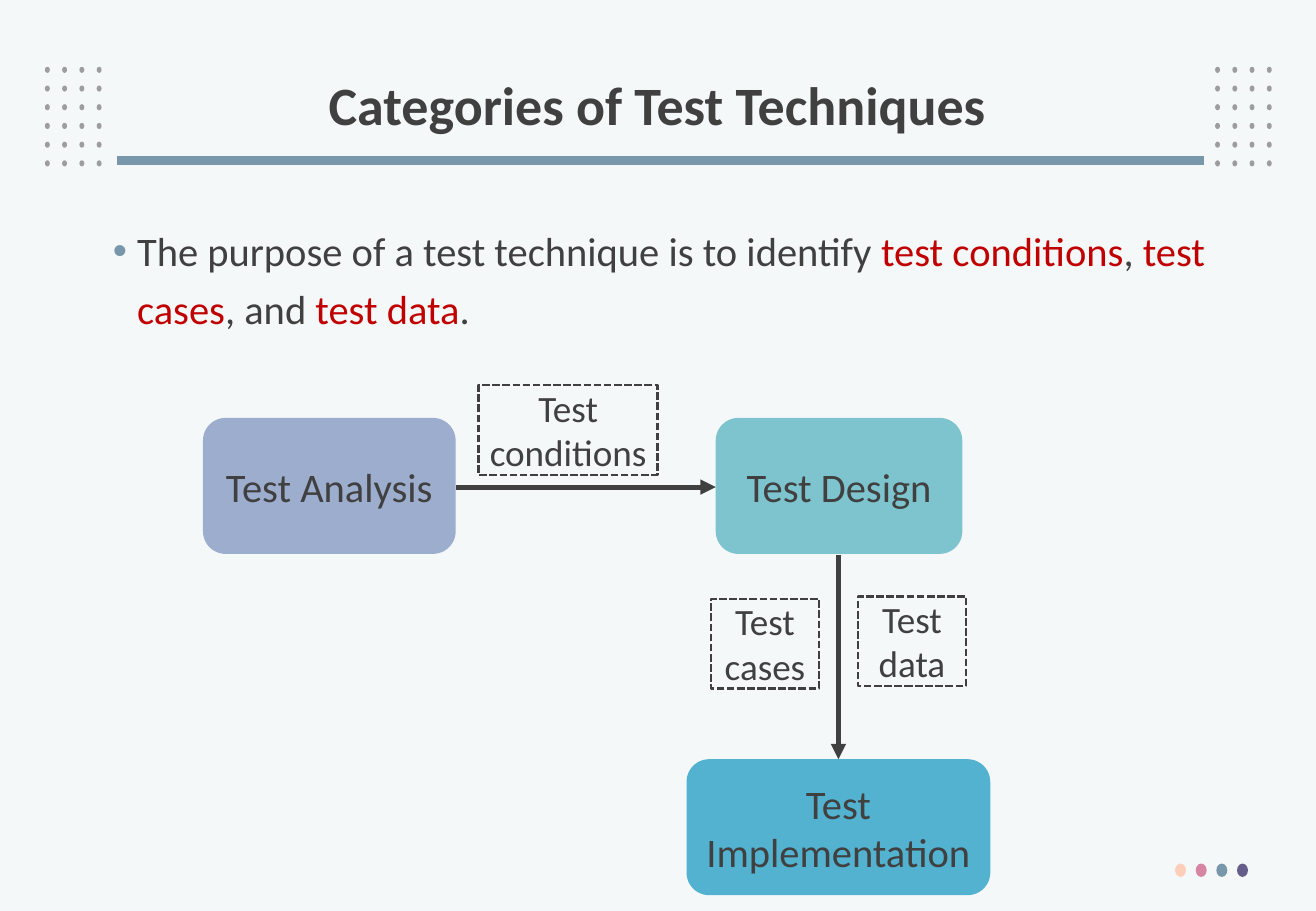
"""Build the slide on categories of test techniques."""
from lxml import etree
from pptx import Presentation
from pptx import util as u
from pptx.dml.color import RGBColor
from pptx.enum import dml, shapes, text
from pptx.oxml import ns

COLORS = {
    "page": "F5F8F9", "ink": "404040", "accent": "C00000", "dot": "9D9D9D",
    "peach": "FDCEB9", "pink": "D885A3", "steel": "7897AB", "violet": "655D8A",
    "analysis": "9CADCE", "design": "7EC4CF", "implementation": "52B2CF",
}


def rgb(name):
    return RGBColor.from_string(COLORS[name])


def add_element(parent, tag, **attributes):
    return etree.SubElement(parent, ns.qn(tag), attributes)


def write_text(frame, *spans, size=24, bold=False, align=text.PP_ALIGN.CENTER,
               anchor=text.MSO_ANCHOR.MIDDLE, spacing=None, bullet=None):
    frame.word_wrap = True
    frame.vertical_anchor = anchor
    para = frame.paragraphs[0]
    para.alignment = align
    if bullet:
        properties = para._p.get_or_add_pPr()
        properties.set("marL", str(u.Inches(0.2)))
        properties.set("indent", str(u.Inches(-0.2)))
        add_element(add_element(properties, "a:buClr"), "a:srgbClr", val=COLORS["steel"])
        add_element(properties, "a:buFont", typeface="Arial")
        add_element(properties, "a:buChar", char=bullet)
    if spacing:
        para.line_spacing = spacing
    for words, color in spans:
        span = para.add_run()
        span.text = words
        span.font.name = "Calibri"
        span.font.size = u.Pt(size)
        span.font.bold = bold
        span.font.color.rgb = rgb(color)


class Painter:
    def __init__(self, page):
        self.page = page
        page.background.fill.solid()
        page.background.fill.fore_color.rgb = rgb("page")

    def shape(self, kind, left, top, width, height, fill=None):
        box = self.page.shapes.add_shape(kind, *map(u.Inches, (left, top, width, height)))
        box.shadow.inherit = False
        box.line.fill.background()
        if fill:
            box.fill.solid()
            box.fill.fore_color.rgb = rgb(fill)
        else:
            box.fill.background()
        return box

    def dot(self, left, top, width, height, fill):
        self.shape(shapes.MSO_SHAPE.OVAL, left, top, width, height, fill)

    def dot_grid(self, left, top):
        for row in range(6):
            for column in range(4):
                self.dot(left + column * 0.142, top + row * 0.154, 0.04, 0.05, "dot")

    def text_box(self, left, top, width, height, *spans, **style):
        box = self.page.shapes.add_textbox(*map(u.Inches, (left, top, width, height)))
        write_text(box.text_frame, *spans, **style)

    def stage(self, words, left, top, width, fill):
        box = self.shape(shapes.MSO_SHAPE.ROUNDED_RECTANGLE, left, top, width, 1.12, fill)
        write_text(box.text_frame, (words, "ink"))

    def label(self, words, left, top, width):
        box = self.shape(shapes.MSO_SHAPE.RECTANGLE, left, top, width, 0.74)
        box.line.color.rgb = rgb("ink")
        box.line.width = u.Pt(1.5)
        box.line.dash_style = dml.MSO_LINE.SQUARE_DOT
        frame = box.text_frame
        frame.margin_left = frame.margin_right = u.Inches(0.04)
        frame.margin_top = frame.margin_bottom = 0
        frame.auto_size = text.MSO_AUTO_SIZE.SHAPE_TO_FIT_TEXT
        write_text(frame, (words, "ink"), size=22, anchor=text.MSO_ANCHOR.TOP)

    def line(self, start, end, color="ink", weight=3, arrow=False):
        line = self.page.shapes.add_connector(
            shapes.MSO_CONNECTOR.STRAIGHT, *map(u.Inches, start + end))
        line.line.color.rgb = rgb(color)
        line.line.width = u.Pt(weight)
        if arrow:
            add_element(line.line._get_or_add_ln(), "a:tailEnd", type="triangle")
        add_element(line._element.spPr, "a:effectLst")


def main():
    deck = Presentation()
    deck.slide_width, deck.slide_height = u.Inches(10.83), u.Inches(7.5)
    painter = Painter(deck.slides.add_slide(deck.slide_layouts[6]))

    for left in (0.37, 10):
        painter.dot_grid(left, 0.55)
    painter.line((0.96, 1.32), (9.91, 1.32), color="steel", weight=5.25)
    for index, color in enumerate(("peach", "pink", "steel", "violet")):
        painter.dot(9.67 + index * 0.17, 7.11, 0.09, 0.11, color)

    painter.text_box(0.74, 0.4, 9.34, 0.98, ("Categories of Test Techniques", "ink"),
                     size=32, bold=True, spacing=0.9)
    painter.text_box(
        0.83, 1.73, 9.26, 5.03,
        ("The purpose of a test technique is to identify ", "ink"),
        ("test conditions", "accent"), (", ", "ink"), ("test cases", "accent"),
        (", and ", "ink"), ("test data", "accent"), (".", "ink"),
        align=text.PP_ALIGN.LEFT, anchor=text.MSO_ANCHOR.TOP, spacing=1.2, bullet="•")

    painter.stage("Test Analysis", 1.67, 3.44, 2.08, "analysis")
    painter.stage("Test Design", 5.89, 3.44, 2.03, "design")
    painter.stage("Test Implementation", 5.65, 6.25, 2.5, "implementation")
    painter.line((3.75, 4.01), (5.89, 4.01), arrow=True)
    painter.line((6.9, 4.57), (6.9, 6.25), arrow=True)
    painter.label("Test conditions", 3.94, 3.17, 1.47)
    painter.label("Test cases", 5.85, 4.93, 0.89)
    painter.label("Test data", 7.06, 4.91, 0.89)

    deck.save("out.pptx")


if __name__ == "__main__":
    main()
